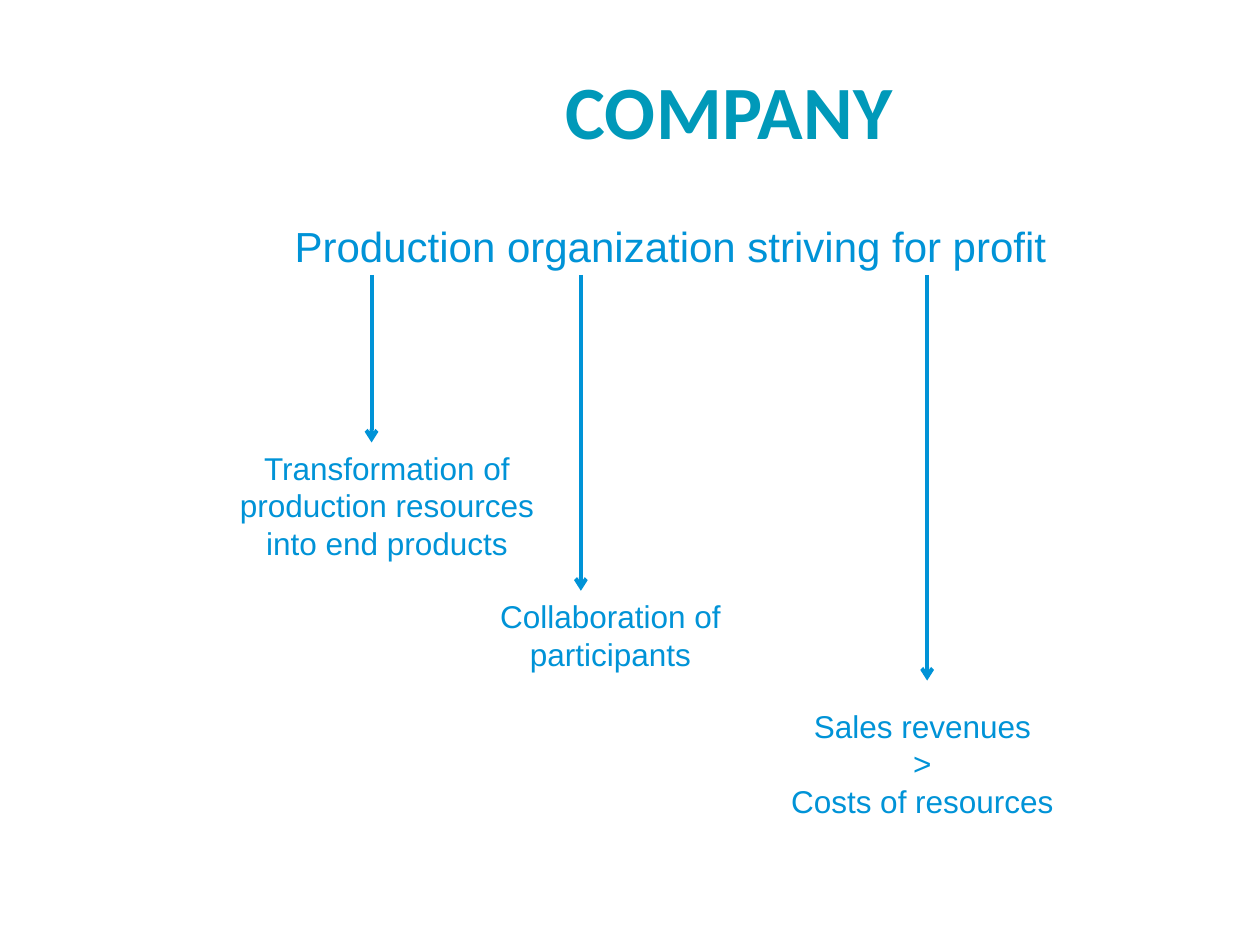
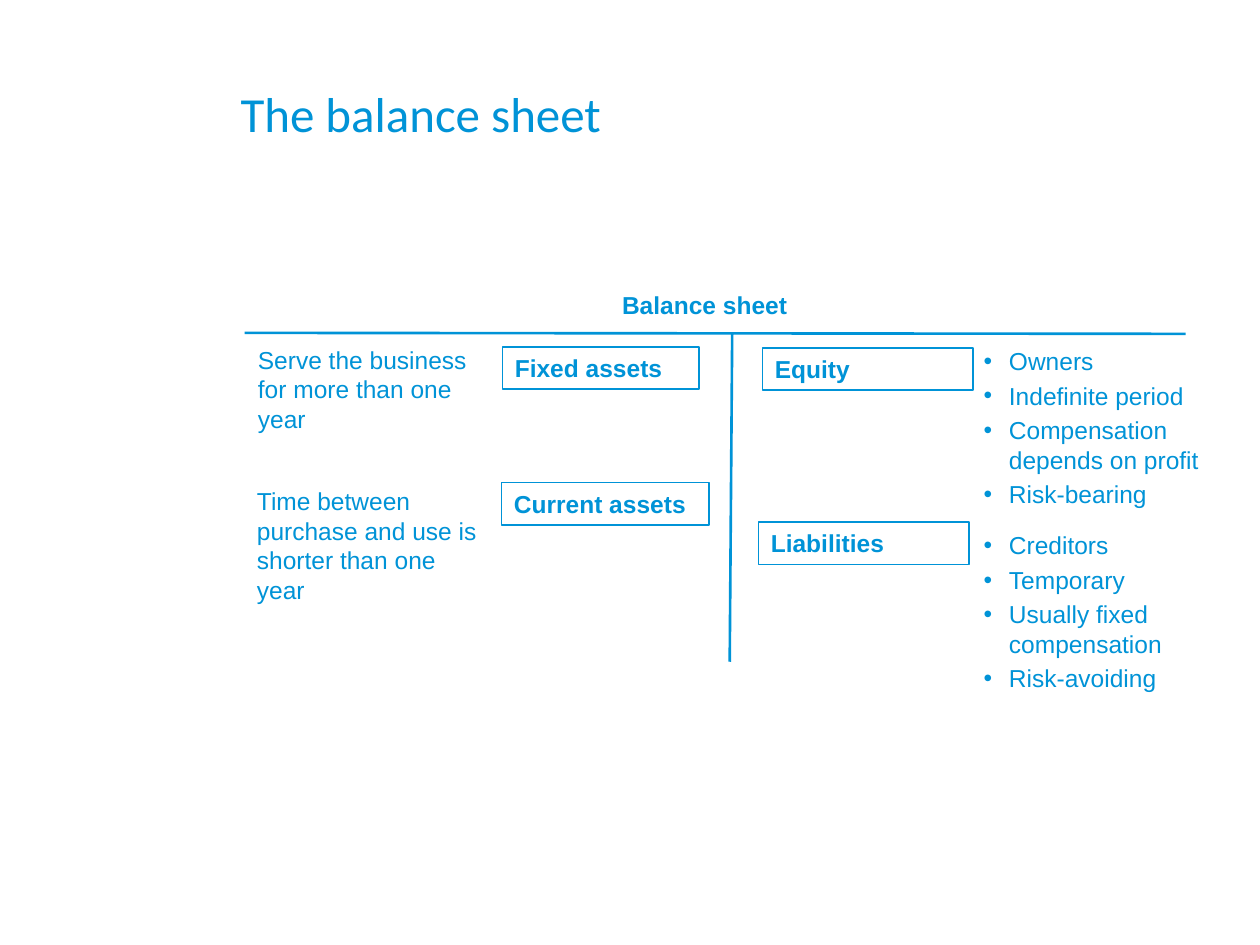
"""Build two slides on the company and its balance sheet."""
from lxml.etree import SubElement
from pptx import Presentation
from pptx.dml.color import RGBColor
from pptx.enum.shapes import MSO_CONNECTOR as Connector, MSO_SHAPE as Shape
from pptx.enum.text import MSO_ANCHOR as Anchor, PP_ALIGN as Align
from pptx.oxml.ns import qn
from pptx.util import Cm, Pt

BLUE = RGBColor(0x00, 0x93, 0xD7)
TEAL = RGBColor(0x00, 0x99, 0xB9)


def add_text(page, text, place, size=14, font="Arial", color=BLUE, bold=False,
             align=Align.LEFT, bullets=False, framed=False, flush=False):
    left, top, width, height = (Cm(value) for value in place)
    if framed:
        box = page.shapes.add_shape(Shape.RECTANGLE, left, top, width, height)
        box.shadow.inherit = False
        box.fill.background()
        box.line.color.rgb = color
        box.line.width = Pt(1)
    else:
        box = page.shapes.add_textbox(left, top, width, height)
    frame = box.text_frame
    frame.word_wrap = True
    frame.vertical_anchor = Anchor.TOP
    if flush:
        frame.margin_left = frame.margin_top = frame.margin_right = frame.margin_bottom = 0
    for index, words in enumerate(text.split("\n")):
        para = frame.add_paragraph() if index else frame.paragraphs[0]
        para.alignment = align
        if bullets:
            properties = para._p.get_or_add_pPr()
            properties.set("marL", str(Cm(0.51)))
            properties.set("indent", str(-Cm(0.51)))
            tint = SubElement(properties, qn("a:buClr"))
            SubElement(tint, qn("a:srgbClr"), val=str(color))
            SubElement(properties, qn("a:buFont"), typeface=font)
            SubElement(properties, qn("a:buChar"), char="•")
            if index:
                para.space_before = Pt(size * 0.2)
        span = para.add_run()
        span.text = words
        span.font.size = Pt(size)
        span.font.name = font
        span.font.bold = bold
        span.font.color.rgb = color
    return box


def add_line(page, start, end, width, arrow=False):
    line = page.shapes.add_connector(
        Connector.STRAIGHT, *(Cm(value) for value in (*start, *end)))
    line.line.color.rgb = BLUE
    line.line.width = Pt(width)
    if arrow:
        SubElement(line.line._get_or_add_ln(), qn("a:tailEnd"), type="arrow")
    SubElement(line._element.spPr, qn("a:effectLst"))


deck = Presentation()
deck.slide_width = Cm(25.4)
deck.slide_height = Cm(19.05)
blank = deck.slide_layouts[6]

page = deck.slides.add_slide(blank)
title = add_text(page, "COMPANY", (4.7, 1.6, 20, 1.52), size=43, font="Calibri",
                 color=TEAL, bold=True, align=Align.CENTER, flush=True)
title_para = title.text_frame.paragraphs[0]
title_para.line_spacing = Pt(43)
title_para.runs[0].font._element.set("spc", "30")
add_text(page, "Production organization striving for profit",
         (5.69, 4.32, 18.59, 1.27), size=24)

explanations = [
    ("Transformation of production resources into end products",
     (4.5, 8.92, 6.6, 2.57), 7.49, 8.92),
    ("Collaboration of participants", (8.51, 11.91, 7.59, 1.8), 11.71, 11.91),
    ("Sales revenues\n>\nCosts of resources", (14.1, 14.12, 8.99, 2.57), 18.69, 13.72),
]
for text, place, arrow_x, arrow_end in explanations:
    add_text(page, text, place, size=18, align=Align.CENTER)
    add_line(page, (arrow_x, 5.54), (arrow_x, arrow_end), 2.25, arrow=True)

page = deck.slides.add_slide(blank)
add_text(page, "The balance sheet", (4.6, 1.55, 10.21, 1.45), size=28, font="Calibri")
add_text(page, "Balance sheet", (12.29, 5.72, 5, 0.86), bold=True)
add_line(page, (4.93, 6.71), (23.9, 6.73), 1.5)
add_line(page, (14.76, 6.73), (14.71, 13.34), 1.5)

asset_notes = [
    ("Serve the business for more than one year", 4.95, 6.83),
    ("Time between purchase and use is shorter than one year", 4.93, 9.68),
]
for text, left, top in asset_notes:
    add_text(page, text, (left, top, 5.16, 2.9))

funding_notes = [
    ("Owners\nIndefinite period\nCompensation depends on profit\nRisk-bearing", 6.86),
    ("Creditors\nTemporary\nUsually fixed compensation\nRisk-avoiding", 10.57),
]
for text, top in funding_notes:
    add_text(page, text, (19.58, top, 5.79, 2.95), bullets=True)

entries = [
    ("Fixed assets", 10.13, 6.99, 3.96),
    ("Equity", 15.37, 7.01, 4.24),
    ("Current assets", 10.11, 9.73, 4.19),
    ("Liabilities", 15.29, 10.52, 4.24),
]
for text, left, top, width in entries:
    add_text(page, text, (left, top, width, 0.86), bold=True, framed=True)

deck.save("out.pptx")
